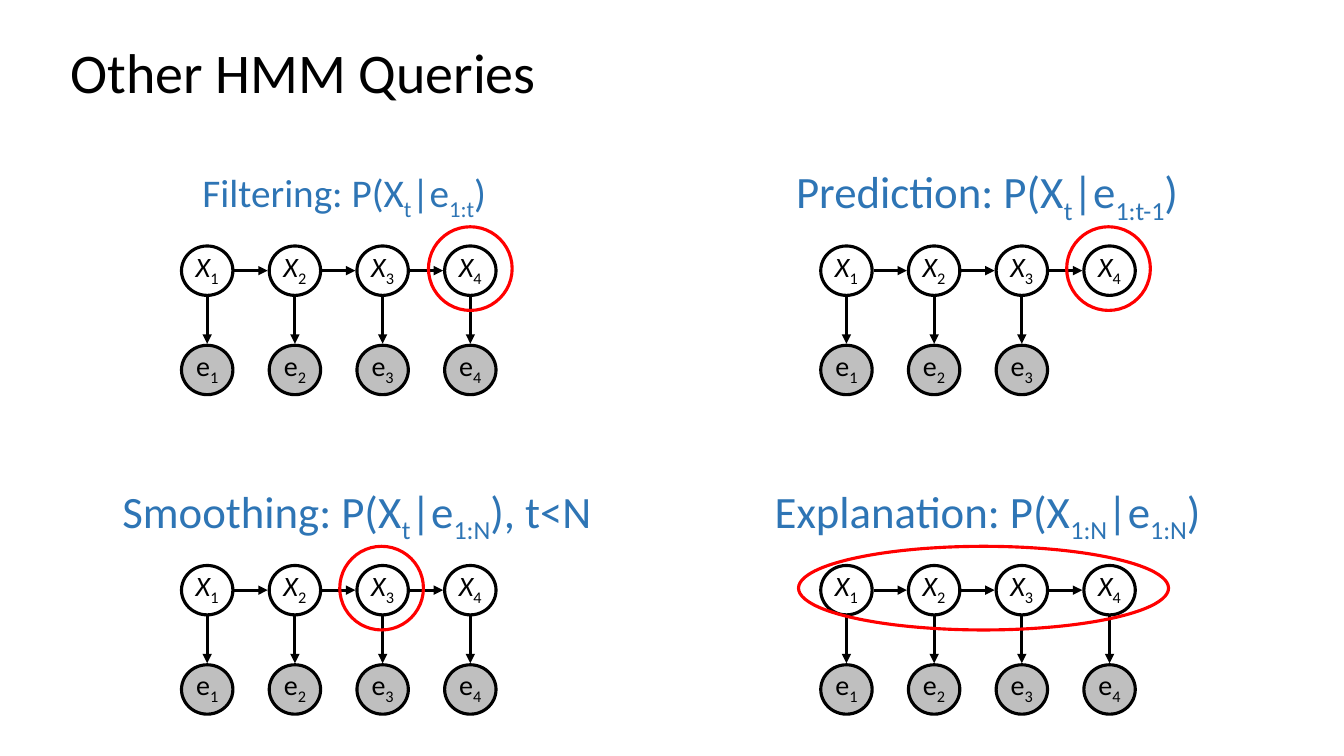
from dataclasses import dataclass

import pptx
import pptx.dml.color
import pptx.enum.shapes
import pptx.enum.text
import pptx.oxml
import pptx.oxml.ns
import pptx.util
from pptx.util import Inches

COLORS = {
    "text": "000000",
    "heading": "2E75B5",
    "hidden": "FFFFFF",
    "evidence": "BFBFBF",
    "line": "000000",
    "ring": "FF0000",
}
FONT = "Calibri"
LINE_WIDTH = 2.25
NODE_WIDTH, NODE_HEIGHT = 0.51, 0.49
COLUMN_STEP, ROW_STEP = 0.87, 0.985
GAP = 0.015  # space between a node and its arrow
STATES = 4
RING_HEIGHT = 0.83
ANCHOR = pptx.enum.text.MSO_ANCHOR
ALIGN = pptx.enum.text.PP_ALIGN


@dataclass(frozen=True)
class Query:
    """A heading, its network and the ring around the queried states."""
    heading: tuple[str, ...]  # normal and subscript pieces in turn
    heading_left: float
    heading_width: float
    left: float
    top: float
    ring_left: float
    ring_width: float = RING_HEIGHT
    evidence: int = STATES
    heading_size: int = 32
    anchor: ANCHOR = ANCHOR.TOP
    line_spacing: float = 1.0


QUERIES = (
    Query(("Filtering: P(X", "t", "|e", "1:t", ")"), 1.5, 3.83, 1.8, 2.44, 4.25,
          heading_size=28, anchor=ANCHOR.MIDDLE, line_spacing=0.9),
    Query(("Prediction: P(X", "t", "|e", "1:t-1", ")"), 7.58, 4.42, 8.14, 2.44, 10.58,
          evidence=3),
    Query(("Smoothing: P(X", "t", "|e", "1:N", "), t<N"), 1, 5.08, 1.8, 5.61, 3.37),
    Query(("Explanation: P(X", "1:N", "|e", "1:N", ")"), 7.17, 5.25, 8.14, 5.61, 7.92,
          ring_width=3.67),
)


def rgb(name: str) -> pptx.dml.color.RGBColor:
    return pptx.dml.color.RGBColor.from_string(COLORS[name])


def write(paragraph, pieces: tuple[str, ...], size: float, color: str,
          italic: bool = False) -> None:
    """Write the pieces, with every second one as a subscript."""
    paragraph.font.name = FONT
    paragraph.font.size = pptx.util.Pt(size)
    paragraph.font.color.rgb = rgb(color)
    for index, piece in enumerate(pieces):
        run = paragraph.add_run()
        run.text = piece
        if index % 2:
            run._r.get_or_add_rPr().set("baseline", "-25000")
        elif italic:
            run.font.italic = True


def add_text(shapes, left: float, top: float, width: float, height: float,
             pieces: tuple[str, ...], size: float, color: str, anchor: ANCHOR,
             align: ALIGN, line_spacing: float) -> None:
    frame = shapes.add_textbox(Inches(left), Inches(top), Inches(width),
                               Inches(height)).text_frame
    frame.word_wrap = True
    frame.vertical_anchor = anchor
    paragraph = frame.paragraphs[0]
    paragraph.alignment = align
    paragraph.line_spacing = line_spacing
    write(paragraph, pieces, size, color)


def add_ellipse(shapes, left: float, top: float, width: float, height: float,
                line: str, fill: str | None = None):
    shape = shapes.add_shape(pptx.enum.shapes.MSO_SHAPE.OVAL, Inches(left),
                             Inches(top), Inches(width), Inches(height))
    shape.shadow.inherit = False
    shape.line.color.rgb = rgb(line)
    shape.line.width = pptx.util.Pt(LINE_WIDTH)
    if fill:
        shape.fill.solid()
        shape.fill.fore_color.rgb = rgb(fill)
    else:
        shape.fill.background()
    return shape


def add_node(shapes, left: float, top: float, letter: str, number: int,
             fill: str, italic: bool) -> None:
    node = add_ellipse(shapes, left, top, NODE_WIDTH, NODE_HEIGHT, "line", fill)
    frame = node.text_frame
    frame.word_wrap = False
    frame.vertical_anchor = ANCHOR.MIDDLE
    frame.margin_top = 0
    frame.margin_bottom = Inches(0.05)
    paragraph = frame.paragraphs[0]
    paragraph.alignment = ALIGN.CENTER
    write(paragraph, (letter, str(number)), 20, "text", italic)


def add_arrow(shapes, x1: float, y1: float, x2: float, y2: float) -> None:
    arrow = shapes.add_connector(pptx.enum.shapes.MSO_CONNECTOR.STRAIGHT,
                                 Inches(x1), Inches(y1), Inches(x2), Inches(y2))
    arrow.line.color.rgb = rgb("line")
    arrow.line.width = pptx.util.Pt(LINE_WIDTH)
    head = pptx.oxml.parse_xml(
        f'<a:tailEnd {pptx.oxml.ns.nsdecls("a")} type="triangle"/>')
    arrow.line._get_or_add_ln().append(head)
    arrow._element.spPr.append(
        pptx.oxml.parse_xml(f'<a:effectLst {pptx.oxml.ns.nsdecls("a")}/>'))


def add_network(shapes, query: Query) -> None:
    network = shapes.add_group_shape().shapes
    evidence_top = query.top + ROW_STEP
    for index in range(STATES):
        left = query.left + index * COLUMN_STEP
        add_node(network, left, query.top, "X", index + 1, "hidden", True)
        if index < STATES - 1:
            middle = query.top + NODE_HEIGHT / 2
            add_arrow(network, left + NODE_WIDTH + GAP, middle,
                      left + COLUMN_STEP - GAP, middle)
        if index < query.evidence:
            center = left + NODE_WIDTH / 2
            add_node(network, left, evidence_top, "e", index + 1, "evidence", False)
            add_arrow(network, center, query.top + NODE_HEIGHT + GAP,
                      center, evidence_top - GAP)


def main() -> None:
    presentation = pptx.Presentation()
    presentation.slide_width = Inches(13.33)
    presentation.slide_height = Inches(7.5)
    shapes = presentation.slides.add_slide(presentation.slide_layouts[6]).shapes

    # Title
    add_text(shapes, 0.6, 0.4, 11.5, 0.69, ("Other HMM Queries",), 40, "text",
             ANCHOR.MIDDLE, ALIGN.LEFT, 0.9)

    # Headings, networks and rings
    for query in QUERIES:
        add_text(shapes, query.heading_left, query.top - 0.86, query.heading_width,
                 0.67, query.heading, query.heading_size, "heading", query.anchor,
                 ALIGN.CENTER, query.line_spacing)
        add_network(shapes, query)
        add_ellipse(shapes, query.ring_left, query.top - 0.19, query.ring_width,
                    RING_HEIGHT, "ring")

    presentation.save("out.pptx")


if __name__ == "__main__":
    main()
